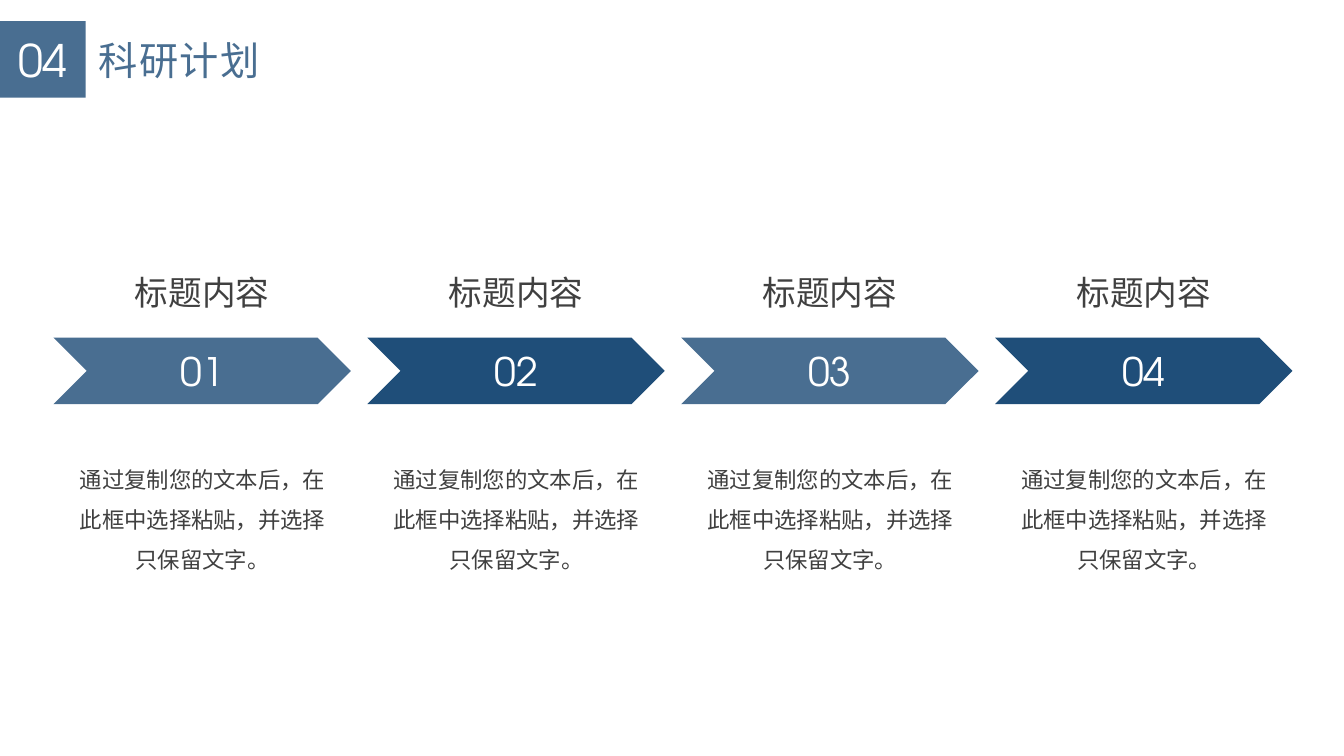
"""Build the research plan slide: a title bar and four numbered chevron steps."""
from pptx import Presentation
from pptx.dml.color import RGBColor
from pptx.enum.shapes import MSO_SHAPE
from pptx.enum.text import MSO_ANCHOR, MSO_AUTO_SIZE, PP_ALIGN
from pptx.util import Inches, Pt

COLORS = {"blue": "496E91", "navy": "1F4E79", "text": "404040", "white": "FFFFFF"}
FONT = "TeX Gyre Adventor"
DESCRIPTION = "通过复制您的文本后，在此框中选择粘贴，并选择只保留文字。"
STEPS = [
    ("01", "标题内容", DESCRIPTION, "blue"),
    ("02", "标题内容", DESCRIPTION, "navy"),
    ("03", "标题内容", DESCRIPTION, "blue"),
    ("04", "标题内容", DESCRIPTION, "navy"),
]
FIRST_LEFT = 0.53
STEP_PITCH = 3.113


def write(shape, text, size, color, wrap=True, align=PP_ALIGN.CENTER):
    text_frame = shape.text_frame
    text_frame.word_wrap = wrap
    paragraph = text_frame.paragraphs[0]
    paragraph.text = text
    paragraph.alignment = align
    paragraph.font.name = FONT
    paragraph.font.size = Pt(size)
    paragraph.font.color.rgb = RGBColor.from_string(COLORS[color])
    return paragraph


def add_block(preset, left, top, width, height, fill, text, size):
    block = slide.shapes.add_shape(
        preset, Inches(left), Inches(top), Inches(width), Inches(height))
    block.shadow.inherit = False
    block.fill.solid()
    block.fill.fore_color.rgb = RGBColor.from_string(COLORS[fill])
    block.line.fill.background()
    block.text_frame.vertical_anchor = MSO_ANCHOR.MIDDLE
    write(block, text, size, "white")


presentation = Presentation()
presentation.slide_width = Inches(13.33)
presentation.slide_height = Inches(7.5)
slide = presentation.slides.add_slide(presentation.slide_layouts[5])

title = slide.shapes.title
title.left, title.top = Inches(0.88), Inches(0.31)
title.width, title.height = Inches(1.83), Inches(0.57)
title.text_frame.vertical_anchor = MSO_ANCHOR.MIDDLE
title.text_frame.auto_size = MSO_AUTO_SIZE.NONE
title_paragraph = write(title, "科研计划", 28, "blue", wrap=False, align=PP_ALIGN.LEFT)
title_paragraph.runs[0].font._element.set("spc", "100")

add_block(MSO_SHAPE.RECTANGLE, 0, 0.21, 0.85, 0.76, "blue", "04", 32)

for index, (number, heading, description, fill) in enumerate(STEPS):
    left = FIRST_LEFT + index * STEP_PITCH
    add_block(MSO_SHAPE.CHEVRON, left, 3.35, 2.95, 0.66, fill, number, 28)

    heading_box = slide.shapes.add_textbox(
        Inches(left + 0.7), Inches(2.65), Inches(1.55), Inches(0.5))
    write(heading_box, heading, 24, "text", wrap=False)

    description_box = slide.shapes.add_textbox(
        Inches(left + 0.16), Inches(4.44), Inches(2.64), Inches(1.31))
    write(description_box, description, 16, "text").line_spacing = 1.5

presentation.save("out.pptx")
